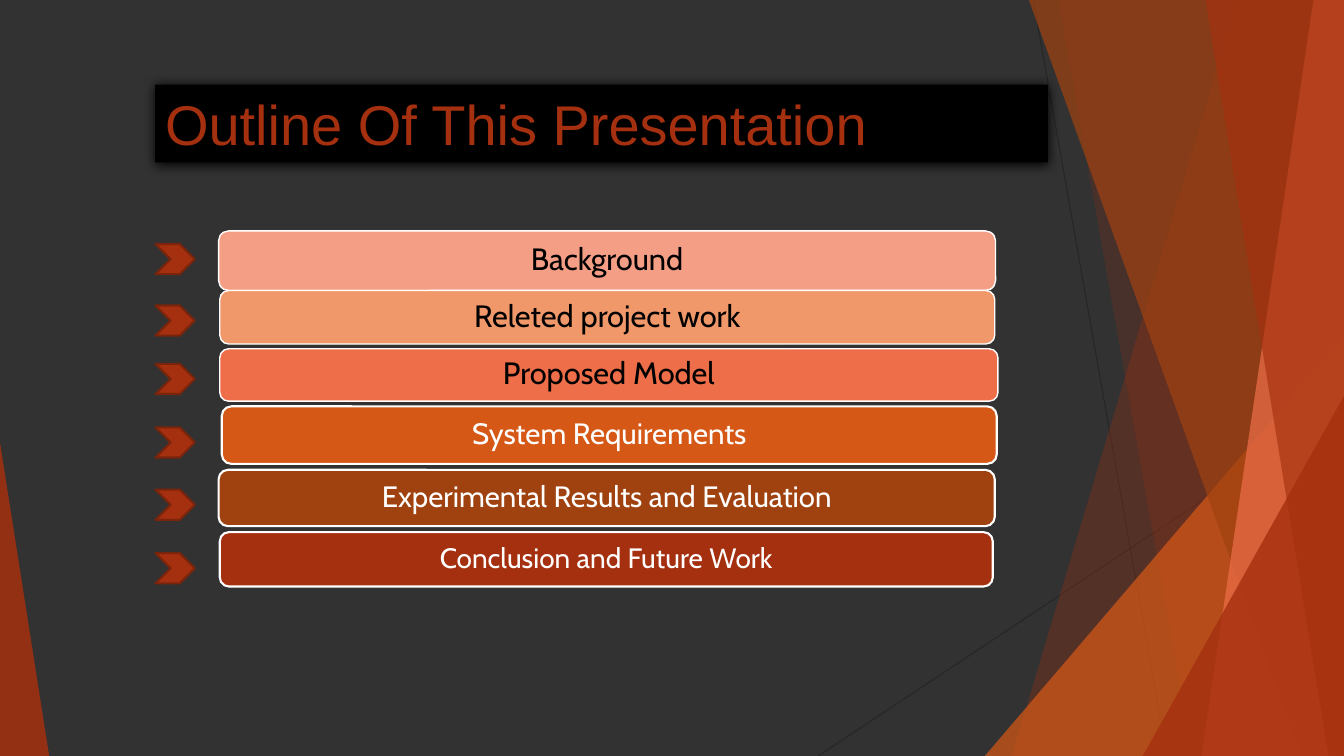
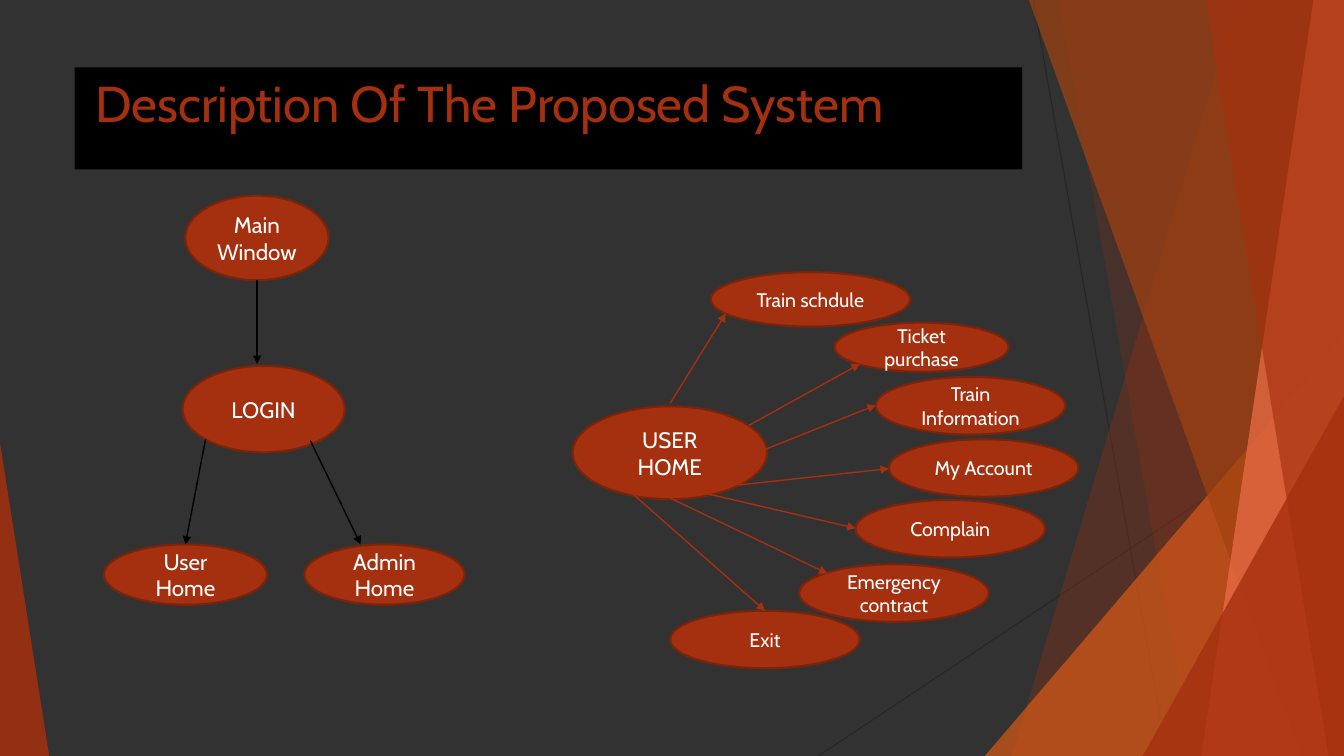
import pptx
import pptx.util
import pptx.dml.color
import pptx.enum.shapes
import pptx.enum.text
import pptx.oxml
import pptx.oxml.ns

Cm, Pt = pptx.util.Cm, pptx.util.Pt
hue = pptx.dml.color.RGBColor.from_string
Kind = pptx.enum.shapes.MSO_SHAPE
Align = pptx.enum.text.PP_ALIGN
Anchor = pptx.enum.text.MSO_ANCHOR
qn = pptx.oxml.ns.qn
NS = pptx.oxml.ns.nsdecls("a")

RUST, EDGE, BLACK, WHITE = "A5300F", "7A240B", "000000", "FFFFFF"
ORANGE, BROWN, CORAL, GREY = "D55816", "A04210", "EE6E4A", "262626"
FONT = "Cabin"
WIDE, HIGH = 33.87, 19.05


def add(slide, kind, box, fill, edge, width, text="", size=16, ink=WHITE):
    """Draw a filled preset shape, box in cm, with centred text."""
    shape = slide.shapes.add_shape(kind, *map(Cm, box))
    shape.shadow.inherit = False
    shape.fill.solid()
    shape.fill.fore_color.rgb = hue(fill)
    shape.line.color.rgb = hue(edge)
    shape.line.width = Pt(width)
    if text:
        frame = shape.text_frame
        frame.text = text
        frame.word_wrap = True
        frame.vertical_anchor = Anchor.MIDDLE
        para = frame.paragraphs[0]
        para.alignment = Align.CENTER
        para.line_spacing = 0.9 if kind == Kind.ROUNDED_RECTANGLE else 1
        font = para.runs[0].font
        font.name, font.size = FONT, Pt(size)
        font.color.rgb = hue(ink)
    return shape


def link(slide, ends, color, width, arrow=True):
    """Draw a straight line between two points in cm."""
    line = slide.shapes.add_connector(
        pptx.enum.shapes.MSO_CONNECTOR.STRAIGHT, *map(Cm, ends))
    line.line.color.rgb = hue(color)
    line.line.width = Pt(width)
    props = line.element.spPr
    if arrow:
        props.find(qn("a:ln")).append(
            pptx.oxml.parse_xml(f'<a:tailEnd {NS} type="triangle"/>'))
    props.append(pptx.oxml.parse_xml(f"<a:effectLst {NS}/>"))


deck = pptx.Presentation()
deck.slide_width, deck.slide_height = Cm(WIDE), Cm(HIGH)
back = deck.slide_master.background.fill
back.solid()
back.fore_color.rgb = hue("323232")
layout = deck.slide_layouts[5]
for holder in list(layout.placeholders):
    if holder.placeholder_format.idx != 0:
        layout.shapes.element.remove(holder.element)

# Titles: text, box, font, size, left margin
titles = [
    ("Outline Of This Presentation", (3.91, 2.13, 22.5, 1.96), "Arial", 40, 0.25),
    ("Description Of The Proposed System", (1.88, 1.7, 23.88, 2.57), FONT, 36, 0.53),
]
for text, box, face, size, margin in titles:
    title = deck.slides.add_slide(layout).shapes.title
    title.left, title.top, title.width, title.height = map(Cm, box)
    title.fill.solid()
    title.fill.fore_color.rgb = hue(BLACK)
    frame = title.text_frame
    frame.text = text
    frame.auto_size = pptx.enum.text.MSO_AUTO_SIZE.NONE
    frame.vertical_anchor = Anchor.TOP
    frame.margin_left = Cm(margin)
    para = frame.paragraphs[0]
    para.alignment = Align.LEFT
    font = para.runs[0].font
    font.name, font.size = face, Pt(size)
    font.color.rgb = hue(RUST)
outline, system = deck.slides

# Backdrop: drawn on the first slide, then moved into the shared layout.
# A pair is a panel's top and bottom left x; four numbers box a triangle.
link(outline, (26.04, 0, 29.41, HIGH), GREY, 0.75, arrow=False)
link(outline, (WIDE, 10.24, 20.62, HIGH), GREY, 0.75, arrow=False)
facets = [
    (RUST, 30, (31.19, 25.5)),
    (RUST, 20, (26.67, 30.05)),
    (ORANGE, 72, (24.82, 8.46, 9.05, 10.59)),
    (BROWN, 70, (25.93, 32.79)),
    (CORAL, 70, (33.1, 30.28)),
    (RUST, 65, (30.38, 33.48)),
    (RUST, 80, (28.8, 9.98, 5.07, 9.07)),
    (RUST, 85, (0, 11.15, 1.24, 7.9)),
]
for color, alpha, place in facets:
    if len(place) == 2:
        top, foot = place
        pen = outline.shapes.build_freeform(Cm(top), 0)
        pen.add_line_segments([(Cm(WIDE), 0), (Cm(WIDE), Cm(HIGH)),
                               (Cm(foot), Cm(HIGH))])
        facet = pen.convert_to_shape()
        facet.shadow.inherit = False
        facet.fill.solid()
        facet.fill.fore_color.rgb = hue(color)
    else:
        facet = add(outline, Kind.ISOSCELES_TRIANGLE, place, color, color, 0)
        facet.adjustments[0] = 1 if place[0] else 0
    facet.line.fill.background()
    tint = facet.element.spPr.find(qn("a:solidFill"))[0]
    tint.append(pptx.oxml.parse_xml(f'<a:alpha {NS} val="{alpha * 1000}"/>'))
for shape in list(outline.shapes):
    if not shape.is_placeholder:
        layout.shapes.element.append(shape.element)

# Outline slide
outline.shapes.title.element.spPr.append(pptx.oxml.parse_xml(
    f'<a:effectLst {NS}><a:outerShdw blurRad="108000" dist="12700" '
    f'dir="5400000"><a:srgbClr val="{BLACK}"/></a:outerShdw></a:effectLst>'))
# Bars: text, box, fill, edge width, size, ink, top of the chevron
bars = [
    ("Background", (5.51, 5.82, 19.58, 1.5), "F49E86", 1, 22, BLACK, 6.15),
    ("Releted project work", (5.54, 7.32, 19.53, 1.35), "F09869", 1, 22, BLACK, 7.7),
    ("Proposed Model", (5.54, 8.79, 19.61, 1.32), CORAL, 1, 22, BLACK, 9.17),
    ("System Requirements", (5.59, 10.24, 19.53, 1.45), ORANGE, 1.5, 21, WHITE, 10.77),
    ("Experimental Results and Evaluation", (5.51, 11.84, 19.56, 1.42),
     BROWN, 1.5, 21, WHITE, 12.34),
    ("Conclusion and Future Work", (5.54, 13.41, 19.48, 1.37),
     RUST, 1.5, 20, WHITE, 13.94),
]
for text, box, fill, width, size, ink, top in bars:
    add(outline, Kind.ROUNDED_RECTANGLE, box, fill, WHITE, width, text, size, ink)
    add(outline, Kind.CHEVRON, (3.92, top, 0.99, 0.76), RUST, EDGE, 1.5)

# System slide
nodes = [
    ("Main Window", 16, (4.67, 4.93, 3.61, 2.13)),
    ("LOGIN", 16, (4.6, 9.22, 4.09, 2.18)),
    ("User Home", 16, (2.62, 13.72, 4.11, 1.52)),
    ("Admin Home", 16, (7.67, 13.72, 4.04, 1.52)),
    ("USER HOME", 16, (14.43, 10.24, 4.9, 2.34)),
    ("Train schdule", 14, (17.91, 6.86, 5.03, 1.37)),
    ("Ticket purchase", 14, (21.03, 8.13, 4.39, 1.24)),
    ("Train Information", 14, (22.07, 9.5, 4.78, 1.45)),
    ("My Account", 14, (22.4, 11.07, 4.78, 1.45)),
    ("Complain", 14, (21.56, 12.6, 4.78, 1.45)),
    ("Emergency contract", 14, (20.14, 14.22, 4.78, 1.45)),
    ("Exit", 14, (16.89, 15.39, 4.78, 1.45)),
]
for text, size, box in nodes:
    add(system, Kind.OVAL, box, RUST, EDGE, 1.5, text, size)

flows = {
    BLACK: [
        (6.48, 7.06, 6.48, 9.17),
        (5.18, 11.07, 4.67, 13.72),
        (7.82, 11.1, 9.09, 13.72),
    ],
    RUST: [
        (16.89, 10.16, 18.29, 7.9),
        (18.87, 10.72, 21.67, 9.17),
        (18.77, 11.53, 22.07, 10.21),
        (18.62, 12.22, 22.4, 11.81),
        (17.17, 12.29, 21.56, 13.31),
        (16.89, 12.55, 20.85, 14.45),
        (15.77, 12.29, 19.28, 15.39),
    ],
}
for color, paths in flows.items():
    for ends in paths:
        link(system, ends, color, 1)

deck.save("out.pptx")
